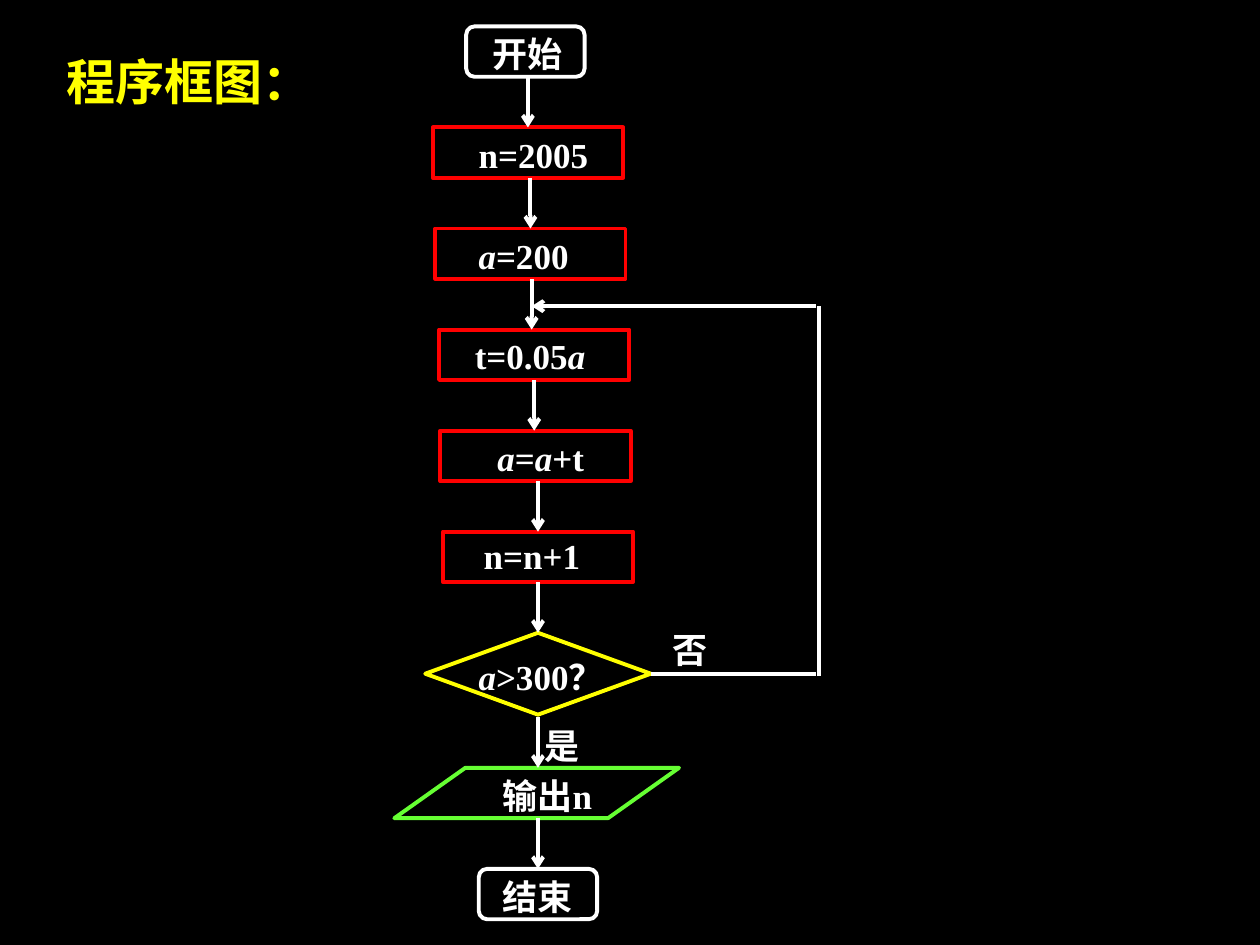
from lxml import etree
from pptx import Presentation
from pptx import util as u
from pptx.dml.color import RGBColor
from pptx.enum import shapes, text
from pptx.oxml.ns import qn

BLACK = RGBColor(0x00, 0x00, 0x00)
WHITE = RGBColor(0xFF, 0xFF, 0xFF)
RED = RGBColor(0xFF, 0x00, 0x00)
YELLOW = RGBColor(0xFF, 0xFF, 0x00)
GREEN = RGBColor(0x66, 0xFF, 0x33)

TOP, PITCH, ROW_H = 0.21, 0.802, 0.4
DIAMOND_H = 0.65
LABEL_FONT = {"name": "Times New Roman", "size": u.Pt(20), "bold": True}
TITLE_FONT = {"name": "Arial", "size": u.Pt(28), "bold": True}
KIND = shapes.MSO_SHAPE

# kind, colour, centre x, width, incoming arrow x, label, label left, label width, label shift
STEPS = [
    (KIND.ROUNDED_RECTANGLE, WHITE, 4.17, 0.94, None, "开始", 3.81, 0.94, 0),
    (KIND.RECTANGLE, RED, 4.19, 1.51, 4.19, "n=2005", 3.7, 1.32, 0),
    (KIND.RECTANGLE, RED, 4.21, 1.51, 4.21, "*a*=200", 3.7, 1.13, 0),
    (KIND.RECTANGLE, RED, 4.24, 1.51, 4.22, "t=0.05*a*", 3.67, 1.32, -0.01),
    (KIND.RECTANGLE, RED, 4.25, 1.51, 4.24, "*a*=*a*+t", 3.85, 0.94, 0),
    (KIND.RECTANGLE, RED, 4.27, 1.51, 4.27, "n=n+1", 3.74, 1.18, -0.03),
    (KIND.DIAMOND, YELLOW, 4.27, 1.79, 4.27, "*a*>300？", 3.7, 1.3, 0.13),
    (KIND.PARALLELOGRAM, GREEN, 4.26, 2.26, 4.27, "输出n", 3.89, 0.94, 0),
    (KIND.ROUNDED_RECTANGLE, WHITE, 4.27, 0.94, 4.27, "结束", 3.89, 0.94, 0),
]
DECISION = 6


def row_top(i):
    """Top of a row; rows below the decision move down by its extra height."""
    extra = DIAMOND_H - ROW_H + 0.02 if i > DECISION else 0
    return TOP + PITCH * i + extra


def set_font(font, formats, colour):
    for name, value in formats.items():
        setattr(font, name, value)
    font.color.rgb = colour


def add_title(slide, words):
    sp = slide.shapes.title
    place = {"left": 0.43, "top": 0.36, "width": 2.09, "height": 0.57}
    for name, value in place.items():
        setattr(sp, name, u.Inches(value))
    tf = sp.text_frame
    tf.text = words
    tf.word_wrap = True
    tf.vertical_anchor = text.MSO_ANCHOR.TOP
    tf.auto_size = text.MSO_AUTO_SIZE.SHAPE_TO_FIT_TEXT
    p = tf.paragraphs[0]
    p.alignment = text.PP_ALIGN.LEFT
    set_font(p.runs[0].font, TITLE_FONT, YELLOW)


def add_label(slide, words, left, top, width):
    """Add a label; parts between asterisks are italic."""
    sp = slide.shapes.add_textbox(*map(u.Inches, (left, top, width, ROW_H)))
    tf = sp.text_frame
    tf.word_wrap = True
    p = tf.paragraphs[0]
    p.alignment = text.PP_ALIGN.JUSTIFY
    for i, part in enumerate(words.split("*")):
        if part:
            r = p.add_run()
            r.text = part
            set_font(r.font, LABEL_FONT, WHITE)
            r.font.italic = i % 2 == 1


def add_outline(slide, kind, colour, centre, top, width, height):
    sp = slide.shapes.add_shape(
        kind, *map(u.Inches, (centre - width / 2, top, width, height)))
    sp.shadow.inherit = False
    sp.fill.background()
    sp.line.color.rgb = colour
    sp.line.width = u.Pt(2.25)
    if kind == KIND.PARALLELOGRAM:
        sp.adjustments[0] = 1.41
    return sp


def add_line(slide, start, end, arrow=False):
    cxn = slide.shapes.add_connector(
        shapes.MSO_CONNECTOR.STRAIGHT, *map(u.Inches, (*start, *end)))
    cxn.line.color.rgb = WHITE
    cxn.line.width = u.Pt(2.25)
    if arrow:
        etree.SubElement(cxn.line._get_or_add_ln(), qn("a:tailEnd"), type="arrow")
    etree.SubElement(cxn._element.spPr, qn("a:effectLst"))
    return cxn


def add_steps(slide):
    """Draw every step with its incoming arrow and return the outlines."""
    outlines = []
    for i, (kind, colour, centre, width, arrow_x, words, left, label_w, shift) in enumerate(STEPS):
        top = row_top(i)
        height = DIAMOND_H if i == DECISION else ROW_H
        sp = add_outline(slide, kind, colour, centre, top, width, height)
        if arrow_x is not None:
            cxn = add_line(slide, (arrow_x, top - ROW_H), (arrow_x, top), arrow=True)
            if arrow_x == centre:
                cxn.end_connect(sp, 0)
            if i == DECISION:
                cxn.begin_connect(outlines[-1], 2)
        add_label(slide, words, left, top + shift, label_w)
        outlines.append(sp)
    return outlines


def add_loop(slide, decision):
    """Lead the "no" branch back above the loop's first step."""
    right, upper, lower = 6.5, 2.43, row_top(DECISION) + DIAMOND_H / 2
    branch = add_line(slide, (5.16, lower), (right - 0.02, lower))
    branch.begin_connect(decision, 3)
    add_line(slide, (right, lower + 0.02), (right, upper))
    add_line(slide, (right - 0.02, upper), (4.22, upper), arrow=True)


def main():
    prs = Presentation()
    prs.slide_width, prs.slide_height = u.Inches(10), u.Inches(7.5)
    slide = prs.slides.add_slide(prs.slide_layouts[5])
    slide.background.fill.solid()
    slide.background.fill.fore_color.rgb = BLACK

    # Flow chart
    outlines = add_steps(slide)
    add_loop(slide, outlines[DECISION])

    # Branch labels and title
    add_label(slide, "是", 4.22, 5.7, 0.75)
    add_label(slide, "否", 5.24, 4.94, 0.75)
    add_title(slide, "程序框图：")
    prs.save("out.pptx")


if __name__ == "__main__":
    main()
